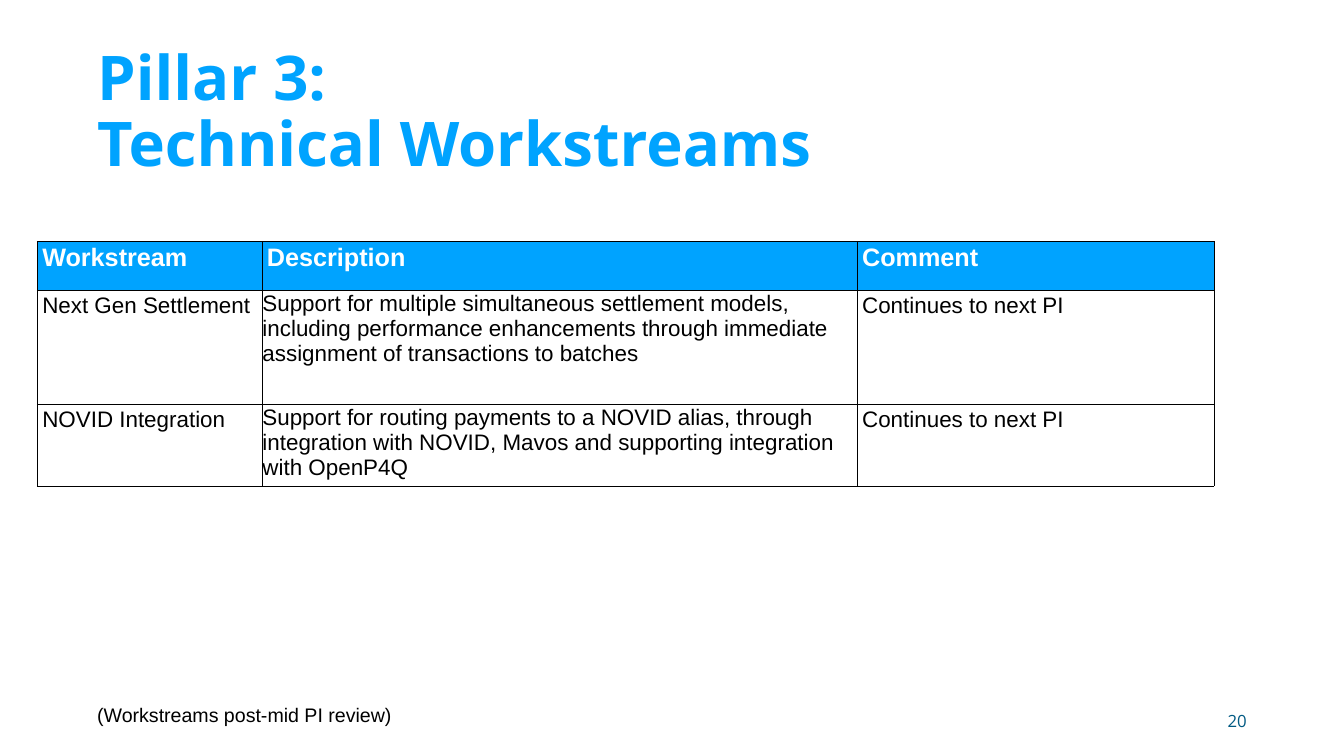
import pptx
import pptx.dml.color
import pptx.enum.text
import pptx.oxml
import pptx.oxml.ns
import pptx.util

COLORS = {"accent": "00A3FF", "number": "005A83", "text": "000000", "paper": "FFFFFF"}
ANCHOR = pptx.enum.text.MSO_ANCHOR
ALIGN = pptx.enum.text.PP_ALIGN
AUTO = pptx.enum.text.MSO_AUTO_SIZE

FORMATS = {
    "title": {"name": "Open Sans", "size": 88, "bold": True, "color": "accent"},
    "number": {"name": "Open Sans", "size": 24, "bold": False, "color": "number"},
    "note": {"name": "Arial", "size": 28, "bold": False, "color": "text"},
    "head": {"name": "Arial", "size": 36, "bold": True, "color": "paper"},
    "body": {"name": "Arial", "size": 32, "bold": False, "color": "text"},
}

COLUMNS = [16.72, 44.28, 26.55]
ROWS = [6.47, 15.13, 10.73]
WORKSTREAMS = [
    ["Workstream", "Description", "Comment"],
    ["Next Gen Settlement",
     "Support for multiple simultaneous settlement models, including performance "
     "enhancements through immediate assignment of transactions to batches",
     "Continues to next PI"],
    ["NOVID Integration",
     "Support for routing payments to a NOVID alias, through integration with "
     "NOVID, Mavos and supporting integration with OpenP4Q",
     "Continues to next PI"],
]


def rgb(key):
    return pptx.dml.color.RGBColor.from_string(COLORS[key])


class Deck:
    def __init__(self, width, height):
        self.prs = pptx.Presentation()
        self.prs.slide_width = pptx.util.Inches(width)
        self.prs.slide_height = pptx.util.Inches(height)
        self.s = None

    def x(self, percent):
        return round(self.prs.slide_width * percent / 100)

    def y(self, percent):
        return round(self.prs.slide_height * percent / 100)

    def box(self, left, top, width, height):
        return self.x(left), self.y(top), self.x(width), self.y(height)

    def fill_text(self, tf, text, style, align=ALIGN.LEFT, spacing=1.0):
        p = tf.paragraphs[0]
        p.text = text
        p.alignment = align
        p.line_spacing = spacing
        for r in p.runs:
            for key, value in FORMATS[style].items():
                if key == "color":
                    r.font.color.rgb = rgb(value)
                else:
                    setattr(r.font, key, pptx.util.Pt(value) if key == "size" else value)

    def title(self, text, *place):
        self.s = self.prs.slides.add_slide(self.prs.slide_layouts[5])
        sp = self.s.shapes.title
        sp.left, sp.top, sp.width, sp.height = self.box(*place)
        tf = sp.text_frame
        for key, value in {"vertical_anchor": ANCHOR.MIDDLE, "auto_size": AUTO.NONE,
                           "word_wrap": True}.items():
            setattr(tf, key, value)
        self.fill_text(tf, text, "title", spacing=0.9)

    def text(self, text, style, *place, align=ALIGN.LEFT, **frame):
        tf = self.s.shapes.add_textbox(*self.box(*place)).text_frame
        for key, value in frame.items():
            setattr(tf, key, value)
        self.fill_text(tf, text, style, align)

    def border(self, cell):
        tcPr = cell._tc.get_or_add_tcPr()
        for side in "LRTB":
            tcPr.append(pptx.oxml.parse_xml(
                f'<a:ln{side} {pptx.oxml.ns.nsdecls("a")} w="12700"><a:solidFill>'
                f'<a:srgbClr val="{COLORS["text"]}"/></a:solidFill></a:ln{side}>'))

    def table(self, data, left, top, columns, rows):
        place = self.box(left, top, sum(columns), sum(rows))
        table = self.s.shapes.add_table(len(rows), len(columns), *place).table
        table.horz_banding = False
        for column, width in zip(table.columns, columns):
            column.width = self.x(width)
        for i, (row, height) in enumerate(zip(table.rows, rows)):
            row.height = self.y(height)
            for j, cell in enumerate(row.cells):
                self.border(cell)
                cell.fill.solid()
                cell.fill.fore_color.rgb = rgb("paper" if i else "accent")
                if i and j == 1:
                    for side, inset in {"left": 0.01, "right": 0.01,
                                        "top": 0.01, "bottom": 0}.items():
                        setattr(cell, f"margin_{side}", pptx.util.Inches(inset))
                self.fill_text(cell.text_frame, data[i][j], "body" if i else "head")


def main():
    deck = Deck(26.67, 15)
    deck.title("Pillar 3:\vTechnical Workstreams", 6.86, 5.33, 77.39, 19.33)
    deck.text("20", "number", 70.64, 92.67, 22.5, 5.33, align=ALIGN.RIGHT,
              vertical_anchor=ANCHOR.MIDDLE, word_wrap=True)
    deck.text("(Workstreams post-mid PI review)", "note", 6.86, 92.67, 22.87, 3.8,
              word_wrap=False, auto_size=AUTO.SHAPE_TO_FIT_TEXT)
    deck.table(WORKSTREAMS, 2.77, 31.93, COLUMNS, ROWS)
    deck.prs.save("out.pptx")


if __name__ == "__main__":
    main()
